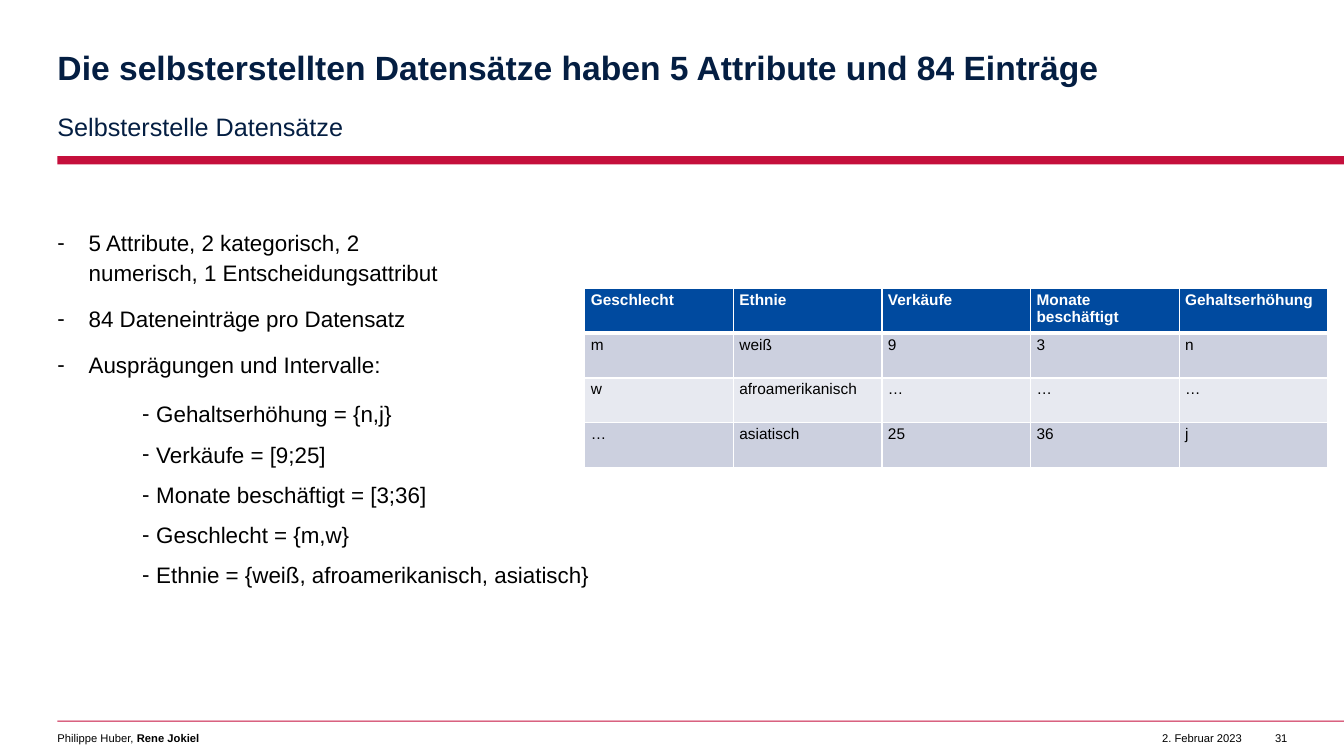
from lxml import etree
from pptx import Presentation
from pptx.dml.color import RGBColor
from pptx.enum.shapes import MSO_SHAPE
from pptx.enum.text import MSO_ANCHOR, MSO_AUTO_SIZE, PP_ALIGN
from pptx.oxml.ns import qn
from pptx.util import Inches, Pt

RECTANGLE = MSO_SHAPE.RECTANGLE
TOP, MIDDLE = MSO_ANCHOR.TOP, MSO_ANCHOR.MIDDLE
LEFT, RIGHT = PP_ALIGN.LEFT, PP_ALIGN.RIGHT
NO_AUTOFIT = MSO_AUTO_SIZE.NONE

FONT = "Arial"
NAVY, RED, BLUE = "041E42", "C50F3C", "004A9F"
BLACK, WHITE = "000000", "FFFFFF"
BANDS = ["CCD0DF", "E7E9F0"]

TITLE = "Die selbsterstellten Datensätze haben 5 Attribute und 84 Einträge"
SUBTITLE = "Selbsterstelle Datensätze"
FACTS = [
    "5 Attribute, 2 kategorisch, 2 numerisch, 1 Entscheidungsattribut",
    "84 Dateneinträge pro Datensatz",
    "Ausprägungen und Intervalle:",
]
RANGES = [
    "Gehaltserhöhung = {n,j}",
    "Verkäufe = [9;25]",
    "Monate beschäftigt = [3;36]",
    "Geschlecht = {m,w}",
    "Ethnie = {weiß, afroamerikanisch, asiatisch}",
]
TABLE_ROWS = [
    ["Geschlecht", "Ethnie", "Verkäufe", "Monate beschäftigt", "Gehaltserhöhung"],
    ["m", "weiß", "9", "3", "n"],
    ["w", "afroamerikanisch", "…", "…", "…"],
    ["…", "asiatisch", "25", "36", "j"],
]
AUTHORS = [("Philippe Huber, ", False), ("Rene Jokiel", True)]
DATE, PAGE_NUMBER = "2. Februar 2023", "31"

PAGE_WIDTH, PAGE_HEIGHT = 13.33, 7.5
MARGIN = 0.57
HEAD_WIDTH = 10.47
FOOTER_TOP, FOOTER_HEIGHT = 7.26, 0.13
RULES = [(1.55, 0.08), (7.15, 0.01)]
TABLE_AREA = (5.8, 2.86, 7.37, 1.78)


def color(value):
    return RGBColor.from_string(value)


def write(frame, paragraphs, size=16, ink=BLACK, bold=False, align=LEFT, anchor=TOP,
          spacing=1.0, after=0, hanging=0, insets=(0, 0, 0, 0)):
    """Fill a frame; a paragraph is a string or a list of (text, bold) pairs."""
    frame.word_wrap = True
    frame.auto_size = NO_AUTOFIT
    frame.vertical_anchor = anchor
    (frame.margin_left, frame.margin_top,
     frame.margin_right, frame.margin_bottom) = map(Inches, insets)
    for index, content in enumerate(paragraphs):
        para = frame.add_paragraph() if index else frame.paragraphs[0]
        para.alignment = align
        para.line_spacing = spacing
        para.space_before = Pt(0)
        para.space_after = Pt(after)
        if hanging:
            properties = para._p.get_or_add_pPr()
            properties.set("marL", str(Inches(hanging)))
            properties.set("indent", str(-Inches(hanging)))
            etree.SubElement(properties, qn("a:buFont"), typeface=FONT)
            etree.SubElement(properties, qn("a:buChar"), char="-")
        pieces = [(content, bold)] if isinstance(content, str) else content
        for text, strong in pieces:
            span = para.add_run()
            span.text = text
            span.font.name = FONT
            span.font.size = Pt(size)
            span.font.bold = strong
            span.font.color.rgb = color(ink)


def add_text(page, area, paragraphs, **style):
    box = page.shapes.add_textbox(*map(Inches, area))
    write(box.text_frame, paragraphs, **style)


def add_rule(page, top, height):
    rule = page.shapes.add_shape(RECTANGLE, Inches(MARGIN), Inches(top),
                                 Inches(PAGE_WIDTH - MARGIN), Inches(height))
    rule.shadow.inherit = False
    rule.fill.solid()
    rule.fill.fore_color.rgb = color(RED)
    rule.line.fill.background()


def set_borders(cell, top=1, bottom=1):
    properties = cell._tc.get_or_add_tcPr()
    widths = {"a:lnL": 1, "a:lnR": 1, "a:lnT": top, "a:lnB": bottom}
    for position, (tag, width) in enumerate(widths.items()):
        line = etree.Element(qn(tag), w=str(Pt(width)))
        fill = etree.SubElement(line, qn("a:solidFill"))
        etree.SubElement(fill, qn("a:srgbClr"), val=WHITE)
        properties.insert(position, line)


def add_data_table(page):
    row_count, column_count = len(TABLE_ROWS), len(TABLE_ROWS[0])
    table = page.shapes.add_table(row_count, column_count,
                                  *map(Inches, TABLE_AREA)).table
    for column in table.columns:
        column.width = Inches(TABLE_AREA[2] / column_count)
    for r, values in enumerate(TABLE_ROWS):
        table.rows[r].height = Inches(TABLE_AREA[3] / row_count)
        header = r == 0
        for c, value in enumerate(values):
            cell = table.cell(r, c)
            cell.margin_left = cell.margin_right = Inches(0.06)
            cell.margin_top = cell.margin_bottom = Inches(0.03)
            cell.fill.solid()
            cell.fill.fore_color.rgb = color(BLUE if header else BANDS[(r - 1) % 2])
            set_borders(cell, top=3 if r == 1 else 1, bottom=3 if header else 1)
            para = cell.text_frame.paragraphs[0]
            span = para.add_run()
            span.text = value
            span.font.name = FONT
            span.font.size = Pt(11)
            span.font.bold = header
            span.font.color.rgb = color(WHITE if header else BLACK)


def main():
    deck = Presentation()
    deck.slide_width, deck.slide_height = Inches(PAGE_WIDTH), Inches(PAGE_HEIGHT)
    page = deck.slides.add_slide(deck.slide_layouts[5])

    for top, height in RULES:
        add_rule(page, top, height)

    title = page.shapes.title
    title.left, title.top = Inches(MARGIN), Inches(0.33)
    title.width, title.height = Inches(HEAD_WIDTH), Inches(0.73)
    write(title.text_frame, [TITLE], size=24, ink=NAVY, bold=True,
          anchor=MIDDLE, spacing=0.9)
    add_text(page, (MARGIN, 1.08, HEAD_WIDTH, 0.31), [SUBTITLE], size=18, ink=NAVY,
             anchor=MIDDLE, spacing=1.1, after=12, insets=(0, 0, 0.39, 0))

    add_text(page, (MARGIN, 2.25, 3.97, 1.5), FACTS, spacing=1.1, after=12, hanging=0.31)
    add_data_table(page)
    add_text(page, (1.41, 3.84, 4.63, 1.97), RANGES, spacing=1.5, hanging=0.14)

    add_text(page, (MARGIN, FOOTER_TOP, HEAD_WIDTH, FOOTER_HEIGHT), [AUTHORS], size=8)
    add_text(page, (11.39, FOOTER_TOP, 0.93, FOOTER_HEIGHT), [DATE], size=8, align=RIGHT)
    add_text(page, (12.56, FOOTER_TOP, 0.21, FOOTER_HEIGHT), [PAGE_NUMBER],
             size=8, align=RIGHT)

    deck.save("out.pptx")


if __name__ == "__main__":
    main()
